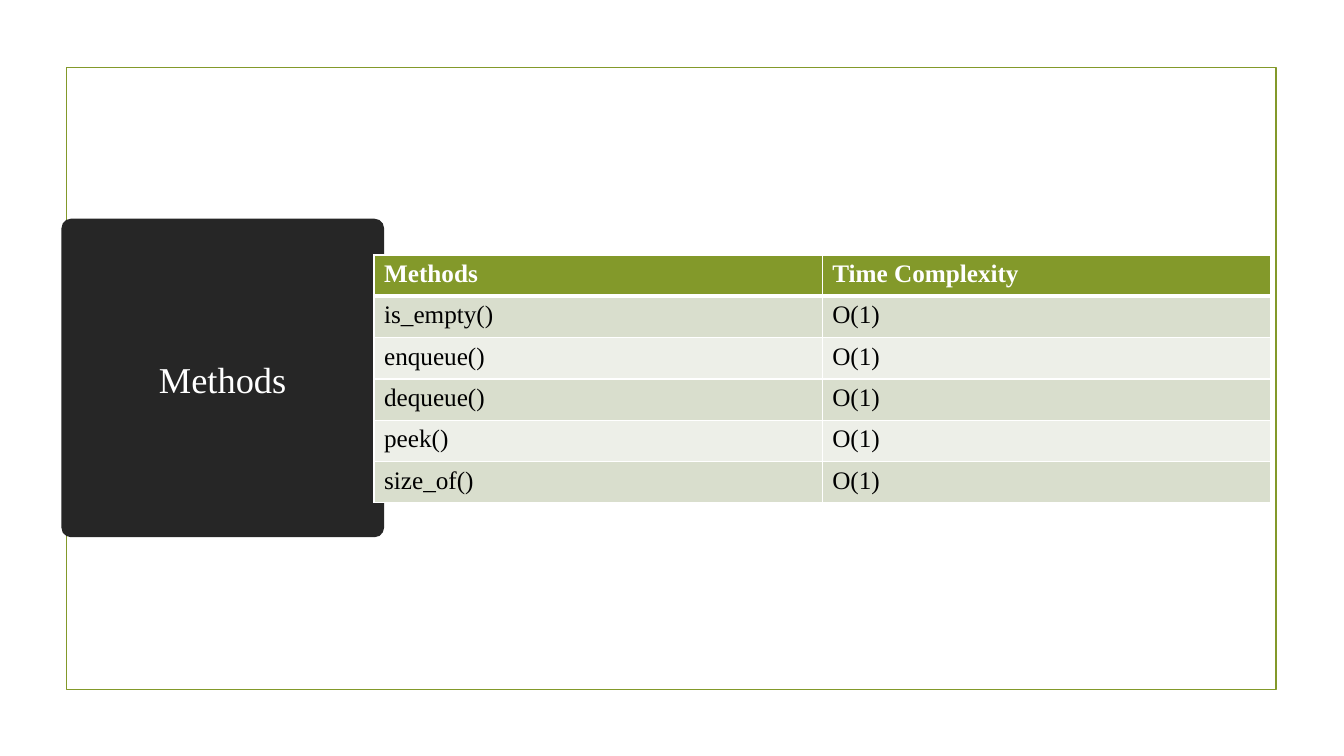
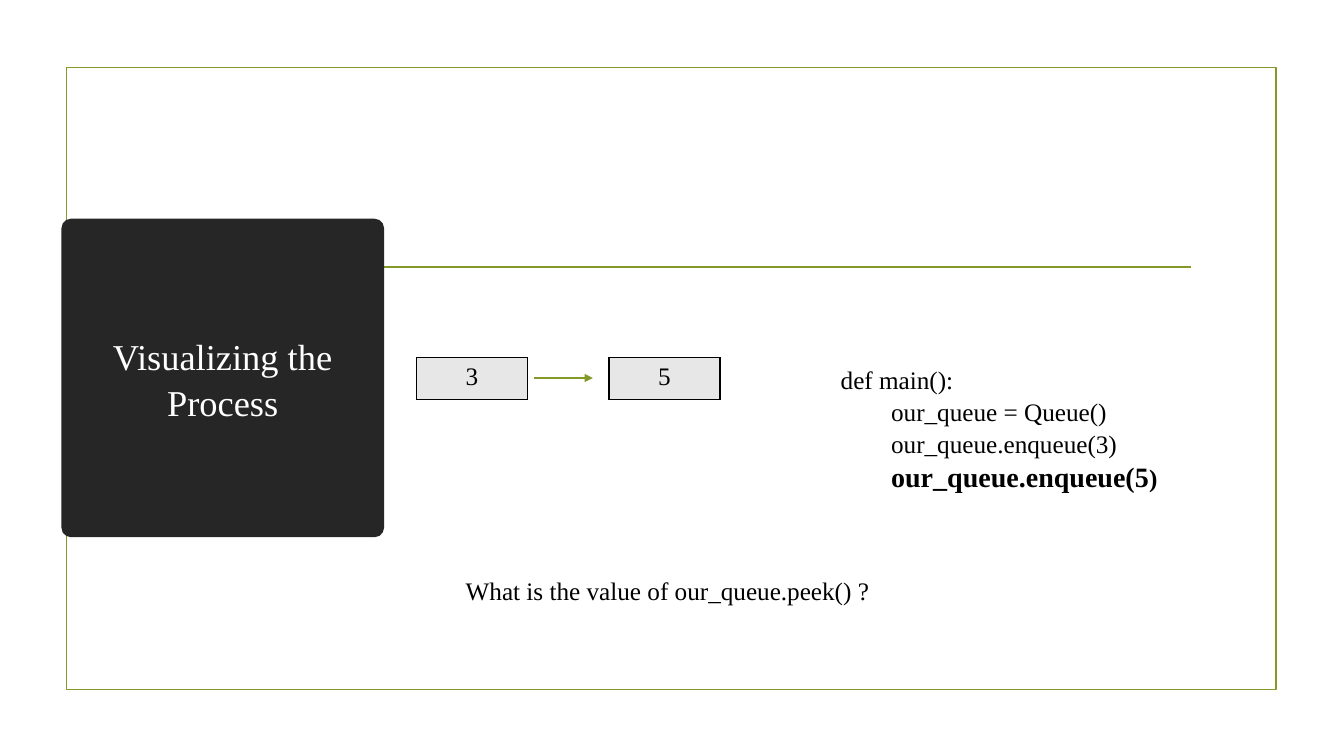
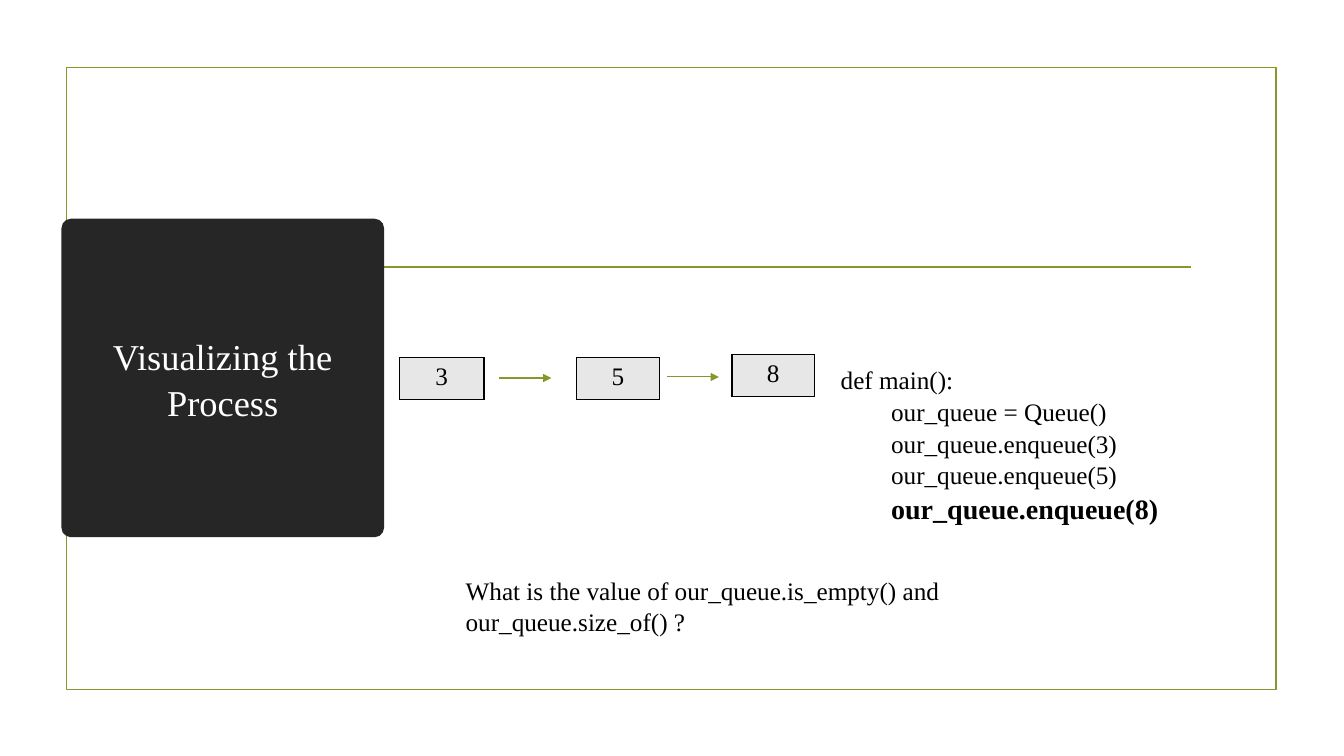
import pptx
import pptx.util
import pptx.dml.color
import pptx.enum.shapes
import pptx.enum.text
import pptx.oxml.ns
import lxml.etree

Inches = pptx.util.Inches
Pt = pptx.util.Pt
RGBColor = pptx.dml.color.RGBColor
ALIGN = pptx.enum.text.PP_ALIGN
SHAPE = pptx.enum.shapes.MSO_SHAPE
qn = pptx.oxml.ns.qn

OLIVE = RGBColor(0x83, 0x99, 0x2A)
CHARCOAL = RGBColor(0x26, 0x26, 0x26)
WHITE = RGBColor(0xFF, 0xFF, 0xFF)
BLACK = RGBColor(0, 0, 0)
NODE_GREY = RGBColor(0xE7, 0xE7, 0xE7)
BANDS = [RGBColor(0xD9, 0xDE, 0xCD), RGBColor(0xED, 0xEF, 0xE8)]
FONT = "Times New Roman"
LINE_SPACING = 1.05
ROW_HEIGHT = 0.41

METHODS_TITLE = "Methods"
METHODS = [
    ("Methods", "Time Complexity"),
    ("is_empty()", "O(1)"),
    ("enqueue()", "O(1)"),
    ("dequeue()", "O(1)"),
    ("peek()", "O(1)"),
    ("size_of()", "O(1)"),
]

PROCESS_TITLE = "Visualizing the Process"
CODE_START = ["def main():", "\tour_queue = Queue()", "\tour_queue.enqueue(3)"]
PROCESS_STEPS = [
    {
        "nodes": [("3", 4.13, 3.55, 1.1), ("5", 6.04, 3.55, 1.1)],
        "arrows": [(5.3, 5.88, 3.75)],
        "code": CODE_START,
        "current": [("\t", 18), ("our_queue.enqueue(5", 20), (")", 18)],
        "question": "What is the value of our_queue.peek() ?",
    },
    {
        "nodes": [("3", 3.96, 3.55, 0.84), ("5", 5.72, 3.55, 0.82), ("8", 7.26, 3.52, 0.82)],
        "arrows": [(4.95, 5.47, 3.75), (6.62, 7.13, 3.74)],
        "code": CODE_START + ["\tour_queue.enqueue(5)"],
        "current": [("\t", 18), ("our_queue.enqueue(8)", 20)],
        "question": "What is the value of our_queue.is_empty() and our_queue.size_of() ?",
    },
]


def style_span(span, size=18, color=BLACK, bold=False):
    span.font.name = FONT
    span.font.size = Pt(size)
    span.font.bold = bold
    span.font.color.rgb = color


def style_frame(frame, size=18, color=BLACK, bold=False, align=ALIGN.LEFT, spacing=None):
    for para in frame.paragraphs:
        para.alignment = align
        para.line_spacing = spacing
        for span in para.runs:
            style_span(span, size, color, bold)


def add_line(page, start, end, y, width, arrow=False):
    line = page.shapes.add_connector(
        pptx.enum.shapes.MSO_CONNECTOR.STRAIGHT, Inches(start), Inches(y), Inches(end), Inches(y))
    line.line.color.rgb = OLIVE
    line.line.width = Pt(width)
    properties = line._element.spPr
    if arrow:
        lxml.etree.SubElement(properties.find(qn("a:ln")), qn("a:tailEnd"), type="triangle")
    lxml.etree.SubElement(properties, qn("a:effectLst"))


def add_page(deck, title, ruled):
    page = deck.slides.add_slide(deck.slide_layouts[6])
    border = page.shapes.add_shape(
        SHAPE.RECTANGLE, Inches(0.66), Inches(0.67), Inches(12), Inches(6.17))
    border.shadow.inherit = False
    border.fill.background()
    border.line.color.rgb = OLIVE
    border.line.width = Pt(1.25)
    if ruled:
        add_line(page, 1.53, 11.81, 2.65, 1.25)
    panel = page.shapes.add_shape(
        SHAPE.ROUNDED_RECTANGLE, Inches(0.61), Inches(2.17), Inches(3.2), Inches(3.16))
    panel.adjustments[0] = 0.03
    panel.shadow.inherit = False
    panel.fill.solid()
    panel.fill.fore_color.rgb = CHARCOAL
    panel.line.fill.background()
    frame = panel.text_frame
    frame.word_wrap = True
    frame.margin_left = frame.margin_right = Inches(0.2)
    frame.vertical_anchor = pptx.enum.text.MSO_ANCHOR.MIDDLE
    frame.text = title
    style_frame(frame, 26, WHITE, align=ALIGN.CENTER, spacing=LINE_SPACING)
    return page


def style_cell(cell, fill, border, top=1, bottom=1):
    properties = cell._tc.get_or_add_tcPr()
    for side, width in (("L", 1), ("R", 1), ("T", top), ("B", bottom)):
        edge = lxml.etree.SubElement(properties, qn("a:ln" + side), w=str(Pt(width)))
        paint = lxml.etree.SubElement(edge, qn("a:solidFill"))
        lxml.etree.SubElement(paint, qn("a:srgbClr"), val=str(border))
    cell.fill.solid()
    cell.fill.fore_color.rgb = fill


def add_grid(page, rows, left, top, width):
    table = page.shapes.add_table(
        len(rows), len(rows[0]), Inches(left), Inches(top),
        Inches(width), Inches(ROW_HEIGHT * len(rows))).table
    table.first_row = False
    table.horz_banding = False
    for row, texts in enumerate(rows):
        for column, text in enumerate(texts):
            table.cell(row, column).text_frame.text = text
    return table


def add_methods_table(page):
    table = add_grid(page, METHODS, 3.71, 2.53, 8.89)
    for index, row in enumerate(table.rows):
        header = index == 0
        fill = OLIVE if header else BANDS[(index - 1) % 2]
        for cell in row.cells:
            style_cell(cell, fill, WHITE, top=3 if index == 1 else 1, bottom=3 if header else 1)
            style_frame(cell.text_frame, color=WHITE if header else BLACK, bold=header)


def add_node(page, value, left, top, width):
    cell = add_grid(page, [(value,)], left, top, width).cell(0, 0)
    style_cell(cell, NODE_GREY, BLACK)
    style_frame(cell.text_frame, align=ALIGN.CENTER)


def add_text(page, text, left, top, width, height):
    box = page.shapes.add_textbox(Inches(left), Inches(top), Inches(width), Inches(height))
    frame = box.text_frame
    frame.word_wrap = True
    frame.text = text
    style_frame(frame, spacing=LINE_SPACING)
    return frame


def add_process(page, step):
    code = add_text(page, "\n".join(step["code"]), 8.24, 3.55, 4.06,
                    0.15 + 0.3 * (len(step["code"]) + 1))
    para = code.add_paragraph()
    para.line_spacing = LINE_SPACING
    for text, size in step["current"]:
        span = para.add_run()
        span.text = text
        style_span(span, size, bold=True)
    add_text(page, step["question"], 4.52, 5.64, 6.19, 0.4)
    for node in step["nodes"]:
        add_node(page, *node)
    for start, end, y in step["arrows"]:
        add_line(page, start, end, y, 0.75, arrow=True)


def main():
    deck = pptx.Presentation()
    deck.slide_width = Inches(13.33)
    deck.slide_height = Inches(7.5)
    add_methods_table(add_page(deck, METHODS_TITLE, ruled=False))
    for step in PROCESS_STEPS:
        add_process(add_page(deck, PROCESS_TITLE, ruled=True), step)
    deck.save("out.pptx")


if __name__ == "__main__":
    main()
